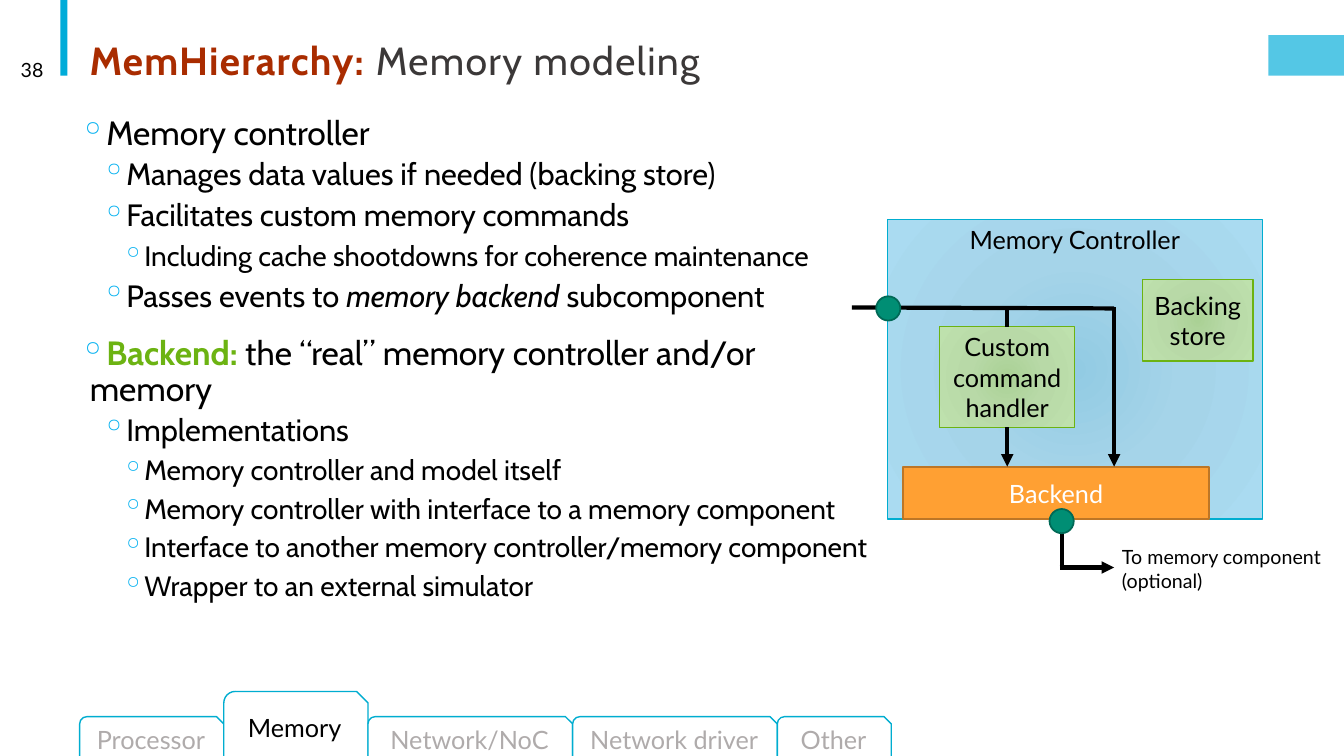
from lxml import etree
from pptx import Presentation
from pptx.dml.color import RGBColor
from pptx.enum.shapes import MSO_CONNECTOR, MSO_SHAPE
from pptx.enum.text import MSO_ANCHOR as ANCHOR, PP_ALIGN as ALIGN
from pptx.oxml import parse_xml
from pptx.oxml.ns import nsdecls, qn
from pptx.util import Inches, Pt

BLACK, WHITE = RGBColor(0, 0, 0), RGBColor(255, 255, 255)
CYAN, EDGE = RGBColor(0x00, 0xAC, 0xD9), RGBColor(0x00, 0xAD, 0xD0)
RUST, CHARCOAL = RGBColor(0xA9, 0x2C, 0x00), RGBColor(0x3B, 0x38, 0x38)
GREEN, GREY = RGBColor(0x6C, 0xB3, 0x12), RGBColor(0xAF, 0xAB, 0xAB)
ORANGE, BROWN = RGBColor(0xFF, 0xA0, 0x33), RGBColor(0xBD, 0x76, 0x26)
TEAL, DARK_TEAL = RGBColor(0x00, 0x8E, 0x74), RGBColor(0x00, 0x69, 0x56)
BLUE_GLOW = ("92CBE3", "A5D4E9", "AADBF1")
GREEN_GLOW = ("AAD195", "B8D9A7", "BEE1AD")

# Content
TITLE = [("MemHierarchy: ", {"bold": True, "color": RUST}),
         ("Memory modeling", {"bold": False, "color": CHARCOAL})]
BULLETS = [  # level, runs
    (0, [("Memory controller", {})]),
    (1, [("Manages data values if needed (backing store)", {})]),
    (1, [("Facilitates custom memory commands", {})]),
    (2, [("Including cache shootdowns for coherence maintenance", {})]),
    (1, [("Passes events to ", {}), ("memory backend ", {"italic": True}),
         ("subcomponent", {})]),
    (0, [("Backend: ", {"bold": True, "color": GREEN}),
         ("the “real” memory controller and/or memory", {})]),
    (1, [("Implementations", {})]),
    (2, [("Memory controller and model itself", {})]),
    (2, [("Memory controller with interface to a memory component", {})]),
    (2, [("Interface to another memory controller/memory component", {})]),
    (2, [("Wrapper to an external simulator", {})]),
]
LEVELS = [  # margin, size, space before, space after
    (0.1, 24, 12, 2), (0.42, 22, 2, 4), (0.62, 20, 2, 4)]
BOXES = [  # text, place, fill, line, line width, text colour, anchor
    ("Memory Controller", (8.8, 2.18, 3.72, 2.97), BLUE_GLOW, EDGE, 1, BLACK, ANCHOR.TOP),
    ("Backend", (8.96, 4.63, 3.03, 0.52), ORANGE, BROWN, 1.25, WHITE, ANCHOR.MIDDLE),
    ("Backing store", (11.33, 2.77, 1.1, 0.81), GREEN_GLOW, GREEN, 1, BLACK, ANCHOR.MIDDLE),
    ("Custom command handler", (9.32, 3.24, 1.34, 1), GREEN_GLOW, GREEN, 1, BLACK,
     ANCHOR.MIDDLE),
]
HANDLER = "Custom command handler"
LINKS = [  # from, to, arrow, (box, side) at start, (box, side) at end
    ((8.45, 3.05), (11.05, 3.06), False, None, None),
    ((9.99, 3.05), (9.99, 3.24), False, None, (HANDLER, 0)),
    ((9.99, 4.24), (9.99, 4.63), True, (HANDLER, 2), None),
    ((11.05, 3.05), (11.05, 4.63), True, None, None),
    ((10.51, 5.63), (11.05, 5.63), True, None, None),
    ((10.53, 5.28), (10.53, 5.61), False, None, None),
]
PORTS = [(10.41, 5.05), (8.69, 2.94)]
TABS = [("Processor", 1.43), ("Memory", 1.43), ("Network/NoC", 2.03),
        ("Network driver", 2.03), ("Other", 1.13)]
ACTIVE_TAB = "Memory"

prs = Presentation()
prs.slide_width, prs.slide_height = Inches(13.33), Inches(7.5)
s = prs.slides.add_slide(prs.slide_layouts[6])


def write(p, runs, **base):
    for text, changes in runs:
        r = p.add_run()
        r.text = text
        for key, value in {"name": "Lato", "color": BLACK, **base, **changes}.items():
            if key == "color":
                r.font.color.rgb = value
            else:
                setattr(r.font, key, value)


def text_box(place, **frame):
    tf = s.shapes.add_textbox(*map(Inches, place)).text_frame
    for key, value in {"word_wrap": True, **frame}.items():
        setattr(tf, key, value)
    return tf


def glow(sp, colors):
    stops = "".join(f'<a:gs pos="{pos}"><a:srgbClr val="{c}"/></a:gs>'
                    for pos, c in zip((0, 45000, 100000), colors))
    sp.fill.background()
    none = sp._element.spPr.find(qn("a:noFill"))
    none.getparent().replace(none, parse_xml(
        f'<a:gradFill {nsdecls("a")} rotWithShape="1"><a:gsLst>{stops}</a:gsLst>'
        '<a:path path="circle"><a:fillToRect l="100000" t="100000" r="100000" b="100000"/>'
        '</a:path></a:gradFill>'))


def shape(kind, place, fill, line=None, width=1, text=None, color=BLACK,
          anchor=ANCHOR.MIDDLE):
    sp = s.shapes.add_shape(kind, *map(Inches, place))
    sp.shadow.inherit = False
    if isinstance(fill, RGBColor):
        sp.fill.solid()
        sp.fill.fore_color.rgb = fill
    else:
        glow(sp, fill)
    if line is None:
        sp.line.fill.background()
    else:
        sp.line.color.rgb, sp.line.width = line, Pt(width)
    if text:
        tf = sp.text_frame
        tf.word_wrap, tf.vertical_anchor = True, anchor
        p = tf.paragraphs[0]
        p.alignment = ALIGN.CENTER
        write(p, [(text, {})], size=Pt(18), color=color)
    return sp


# Header
shape(MSO_SHAPE.RECTANGLE, (0.6, 0, 0.07, 0.75), CYAN)
flag = shape(MSO_SHAPE.RECTANGLE, (12.58, 0.35, 0.75, 0.4), CYAN)
flag_color = flag._element.spPr.find(qn("a:solidFill"))[0]
etree.SubElement(flag_color, qn("a:alpha"), val="67000")

p = text_box((0.79, 0.26, 11, 0.62), vertical_anchor=ANCHOR.BOTTOM).paragraphs[0]
p.line_spacing = 0.85
write(p, TITLE, name="Cabin", size=Pt(28))
for r in p.runs:
    r.font._element.set("spc", "100")

p = text_box((0.07, 0.49, 0.46, 0.4), vertical_anchor=ANCHOR.MIDDLE).paragraphs[0]
p.alignment = ALIGN.RIGHT
write(p, [("38", {})], size=Pt(14))

# Bullet list
tf = text_box((0.79, 1.11, 7.88, 5.1), margin_left=0, margin_right=0)
for i, (level, runs) in enumerate(BULLETS):
    margin, size, before, after = LEVELS[level]
    p = tf.add_paragraph() if i else tf.paragraphs[0]
    p.level, p.line_spacing = level, 0.9
    p.space_before, p.space_after = Pt(before if i else 0), Pt(after)
    pPr = p._p.get_or_add_pPr()
    pPr.set("marL", str(Inches(margin)))
    pPr.set("indent", str(Inches(-0.2)))
    bullet_color = etree.SubElement(pPr, qn("a:buClr"))
    etree.SubElement(bullet_color, qn("a:srgbClr"), val="00B0F0")
    etree.SubElement(pPr, qn("a:buChar"), char="◦")
    write(p, runs, name="Cabin", size=Pt(size))

# Memory controller diagram
boxes = {}
for text, place, fill, line, width, color, anchor in BOXES:
    boxes[text] = shape(MSO_SHAPE.RECTANGLE, place, fill, line, width, text, color, anchor)

for start, end, arrow, start_join, end_join in LINKS:
    link = s.shapes.add_connector(MSO_CONNECTOR.STRAIGHT, *map(Inches, start + end))
    link.line.color.rgb, link.line.width = BLACK, Pt(3)
    if start_join:
        link.begin_connect(boxes[start_join[0]], start_join[1])
    if end_join:
        link.end_connect(boxes[end_join[0]], end_join[1])
    if arrow:
        etree.SubElement(link.line._get_or_add_ln(), qn("a:tailEnd"), type="triangle")
    etree.SubElement(link._element.spPr, qn("a:effectLst"))

for x, y in PORTS:
    shape(MSO_SHAPE.OVAL, (x, y, 0.24, 0.24), TEAL, DARK_TEAL, 1.25)

p = text_box((11.03, 5.36, 2.77, 0.57)).paragraphs[0]
write(p, [("To memory component (optional)", {})], size=Pt(14))

# Section tabs, side by side
x, bottom = 0.79, 7.54
for text, width in TABS:
    active = text == ACTIVE_TAB
    height = 0.68 if active else 0.43
    shape(MSO_SHAPE.SNIP_ROUND_RECTANGLE, (x, bottom - height, width, height), WHITE,
          EDGE, text=text, color=BLACK if active else GREY)
    x += width

prs.save("out.pptx")
